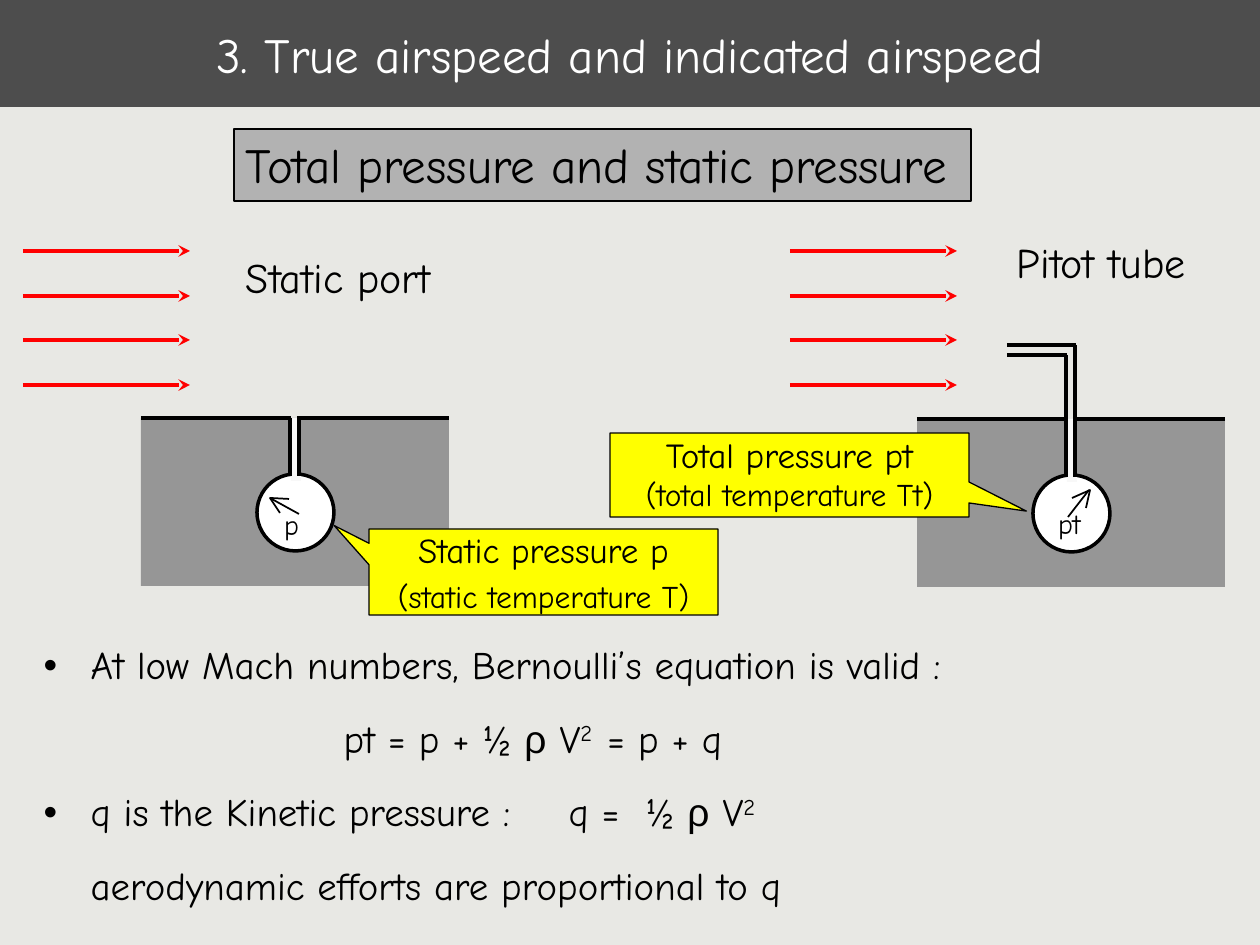
"""Build a slide comparing a static port with a Pitot tube."""
from lxml import etree
from pptx import Presentation
from pptx import util as u
from pptx.dml.color import RGBColor
from pptx.enum import shapes, text
from pptx.oxml.ns import qn

PX = 914400 / 126
FONT = "Comic Neue"
COLORS = {
    "background": "E8E8E4", "bar": "4D4D4D", "white": "FFFFFF", "black": "000000",
    "heading": "B2B2B2", "wall": "969696", "slot": "F8F8F8", "flow": "FF0000", "note": "FFFF00",
}
TITLE = "3. True airspeed and indicated airspeed"
HEADING = "Total pressure and static pressure"
BODY = [
    {"bullet": True, "left": 47, "runs": ["At low Mach numbers, Bernoulli’s equation is valid :"]},
    {"bullet": False, "left": 300, "runs": ["pt = p + ½ ", "ρ", " V", "2  ", "= p + q"]},
    {"bullet": True, "left": 47, "runs": ["q is the Kinetic pressure :\tq =  ½ ", "ρ", " V", "2"]},
    {"bullet": False, "left": 47, "runs": ["aerodynamic efforts are proportional to q"]},
]
BODY_TAB = 525
FLOW_ROWS = (251, 296, 340, 385)
INSTRUMENTS = [
    {
        "label": ("Static port", (246, 252, 200, 50)), "flow": 23, "origin": (141, 418),
        "needle": [(299, 514), (270, 498)], "needle_head": [(289, 499), (270, 498), (280, 513)],
        "reading": ("p", (284, 508, 15, 67)), "tube_tops": (418, 418), "inlet": None,
        "note": ["Static pressure p", "(static temperature T)"],
        "note_box": (369, 529, 349, 86), "pointer": (-0.6, -0.54), "note_gap": 3.4,
    },
    {
        "label": ("Pitot tube", (1017, 237, 184, 50)), "flow": 790, "origin": (917, 419),
        "needle": [(1068, 517), (1089, 490)], "needle_head": [(1086, 508), (1090, 490), (1072, 498)],
        "reading": ("pt", (1058, 507, 23, 67)), "tube_tops": (355, 345), "inlet": 1007,
        "note": ["Total pressure pt", "(total temperature Tt)"],
        "note_box": (610, 433, 359, 84), "pointer": (0.66, 0.43), "note_gap": 0,
    },
]


def px(value):
    return u.Emu(round(value * PX))


def color(name):
    return RGBColor.from_string(COLORS[name])


def format_font(font, size, name="black", family=FONT):
    font.name, font.size = family, u.Pt(size)
    font.color.rgb = color(name)


def fill_with(shape, name):
    shape.fill.solid()
    shape.fill.fore_color.rgb = color(name)


def place(shape, box):
    shape.left, shape.top, shape.width, shape.height = map(px, box)


def outline(shape, width):
    if width:
        shape.line.color.rgb = color("black")
        shape.line.width = u.Pt(width)
    else:
        shape.line.fill.background()


def add_block(slide, kind, box, fill, line=0):
    shape = slide.shapes.add_shape(kind, *map(px, box))
    shape.shadow.inherit = False
    fill_with(shape, fill)
    outline(shape, line)
    return shape


def add_line(slide, start, end, width=2.25, name="black", arrow=False):
    line = slide.shapes.add_connector(shapes.MSO_CONNECTOR.STRAIGHT, *map(px, (*start, *end)))
    line.line.color.rgb = color(name)
    line.line.width = u.Pt(width)
    if arrow:
        etree.SubElement(line.line._get_or_add_ln(), qn("a:tailEnd"), type="stealth")
    etree.SubElement(line._element.spPr, qn("a:effectLst"))


def write_lines(shape, lines, sizes, alignment, margin=0, wrap=True):
    frame = shape.text_frame
    frame.text = "\n".join(lines)
    frame.word_wrap = wrap
    frame.vertical_anchor = text.MSO_ANCHOR.TOP
    frame.margin_left = frame.margin_right = px(margin)
    frame.margin_top = frame.margin_bottom = px(margin / 2)
    for paragraph, size in zip(frame.paragraphs, sizes):
        paragraph.alignment = alignment
        for run in paragraph.runs:
            format_font(run.font, size)


def add_label(slide, words, box, size, alignment):
    write_lines(slide.shapes.add_textbox(*map(px, box)), [words], [size], alignment, wrap=False)


def add_title(slide):
    title = slide.shapes.title
    place(title, (0, 0, 1260, 107))
    fill_with(title, "bar")
    frame = title.text_frame
    frame.text = TITLE
    frame.auto_size = text.MSO_AUTO_SIZE.NONE
    frame.vertical_anchor = text.MSO_ANCHOR.MIDDLE
    frame.paragraphs[0].alignment = text.PP_ALIGN.CENTER
    format_font(frame.paragraphs[0].runs[0].font, 28, "white")


def add_body(slide):
    body = slide.placeholders[1]
    place(body, (31, 640, 1205, 305))
    frame = body.text_frame
    frame.auto_size = text.MSO_AUTO_SIZE.NONE
    for index, item in enumerate(BODY):
        paragraph = frame.add_paragraph() if index else frame.paragraphs[0]
        properties = paragraph._p.get_or_add_pPr()
        properties.set("marL", str(px(item["left"])))
        properties.set("indent", str(px(-item["left"] if item["bullet"] else 0)))
        if item["bullet"]:
            etree.SubElement(properties, qn("a:buChar"), char="•")
        else:
            etree.SubElement(properties, qn("a:buNone"))
        tabs = etree.SubElement(properties, qn("a:tabLst"))
        etree.SubElement(tabs, qn("a:tab"), pos=str(px(BODY_TAB)), algn="l")
        paragraph.alignment = text.PP_ALIGN.JUSTIFY
        paragraph.line_spacing = 0.9
        paragraph.space_before = u.Pt(18 if index else 0)
        for words in item["runs"]:
            run = paragraph.add_run()
            run.text = words
            format_font(run.font, 22.2, family="Arial" if words == "ρ" else FONT)
            if words.strip() == "2":
                run._r.get_or_add_rPr().set("baseline", "30000")


def add_instrument(slide, item):
    left, top = item["origin"]
    add_label(slide, *item["label"], 24, text.PP_ALIGN.LEFT)
    for row in FLOW_ROWS:
        add_line(slide, (item["flow"], row), (item["flow"] + 167, row), name="flow", arrow=True)

    add_block(slide, shapes.MSO_SHAPE.RECTANGLE, (left, top, 308, 168), "wall")
    add_block(slide, shapes.MSO_SHAPE.OVAL, (left + 116, top + 56, 77, 77), "white", 2)
    add_line(slide, *item["needle"], width=1)
    first, *others = item["needle_head"]
    builder = slide.shapes.build_freeform(*first, scale=PX)
    builder.add_line_segments(others, close=False)
    head = builder.convert_to_shape()
    head.shadow.inherit = False
    head.fill.background()
    outline(head, 1)

    add_block(slide, shapes.MSO_SHAPE.RECTANGLE, (left + 150, top, 10, 63), "slot")
    for offset, tube_top in zip((149, 158), item["tube_tops"]):
        add_line(slide, (left + offset, tube_top), (left + offset, top + 58))
        if item["inlet"]:
            add_line(slide, (item["inlet"], tube_top), (left + offset + 1, tube_top))
    for start, end in ((0, 150), (156, 308)):
        add_line(slide, (left + start, top), (left + end, top))
    add_label(slide, *item["reading"], 16, text.PP_ALIGN.CENTER)


def add_note(slide, item):
    note = add_block(slide, shapes.MSO_SHAPE.RECTANGULAR_CALLOUT, item["note_box"], "note", 0.75)
    note.adjustments[0], note.adjustments[1] = item["pointer"]
    write_lines(note, item["note"], (20, 18), text.PP_ALIGN.CENTER)
    note.text_frame.paragraphs[1].space_before = u.Pt(item["note_gap"])


def main():
    presentation = Presentation()
    presentation.slide_width, presentation.slide_height = px(1260), px(945)
    slide = presentation.slides.add_slide(presentation.slide_layouts[1])
    slide.background.fill.solid()
    slide.background.fill.fore_color.rgb = color("background")
    add_title(slide)
    add_body(slide)
    for item in INSTRUMENTS:
        add_instrument(slide, item)
        add_note(slide, item)
    heading = add_block(slide, shapes.MSO_SHAPE.RECTANGLE, (234, 129, 737, 72), "heading", 1)
    write_lines(heading, [HEADING], [28], text.PP_ALIGN.LEFT, margin=12, wrap=False)
    presentation.save("out.pptx")


if __name__ == "__main__":
    main()
